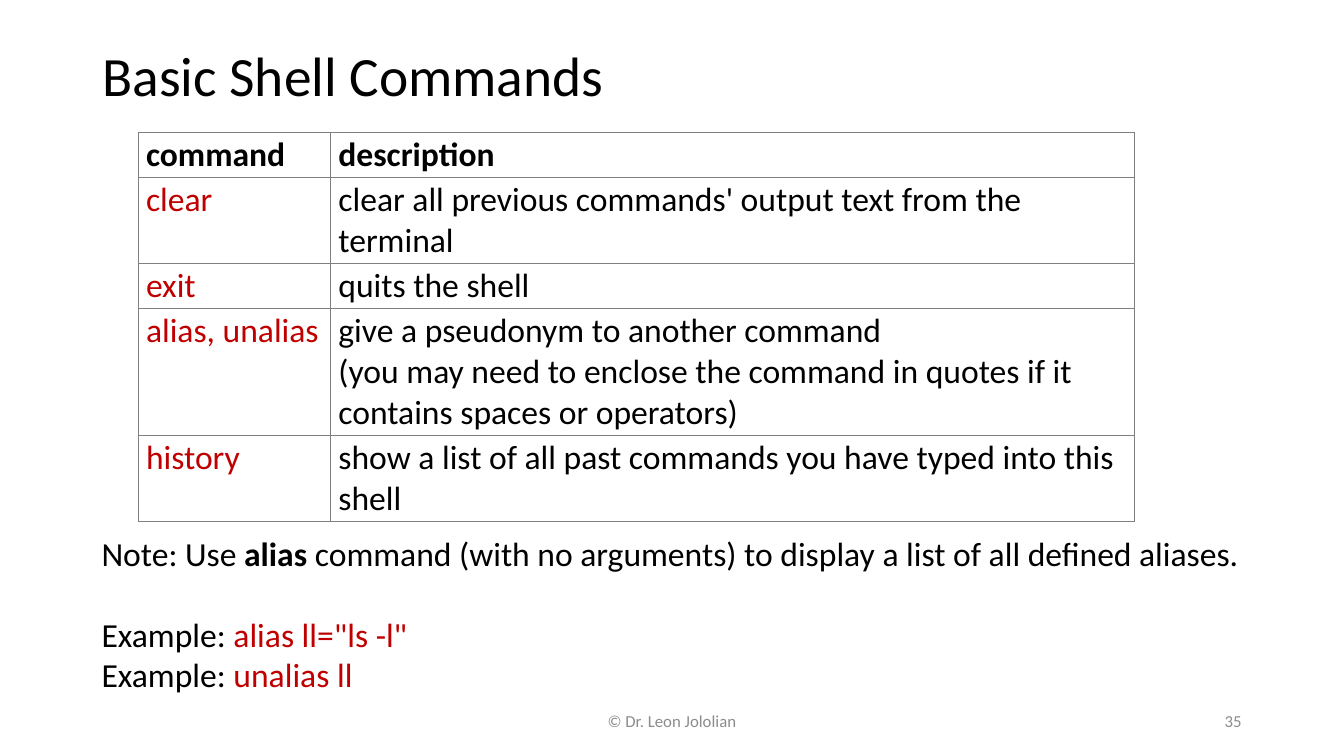
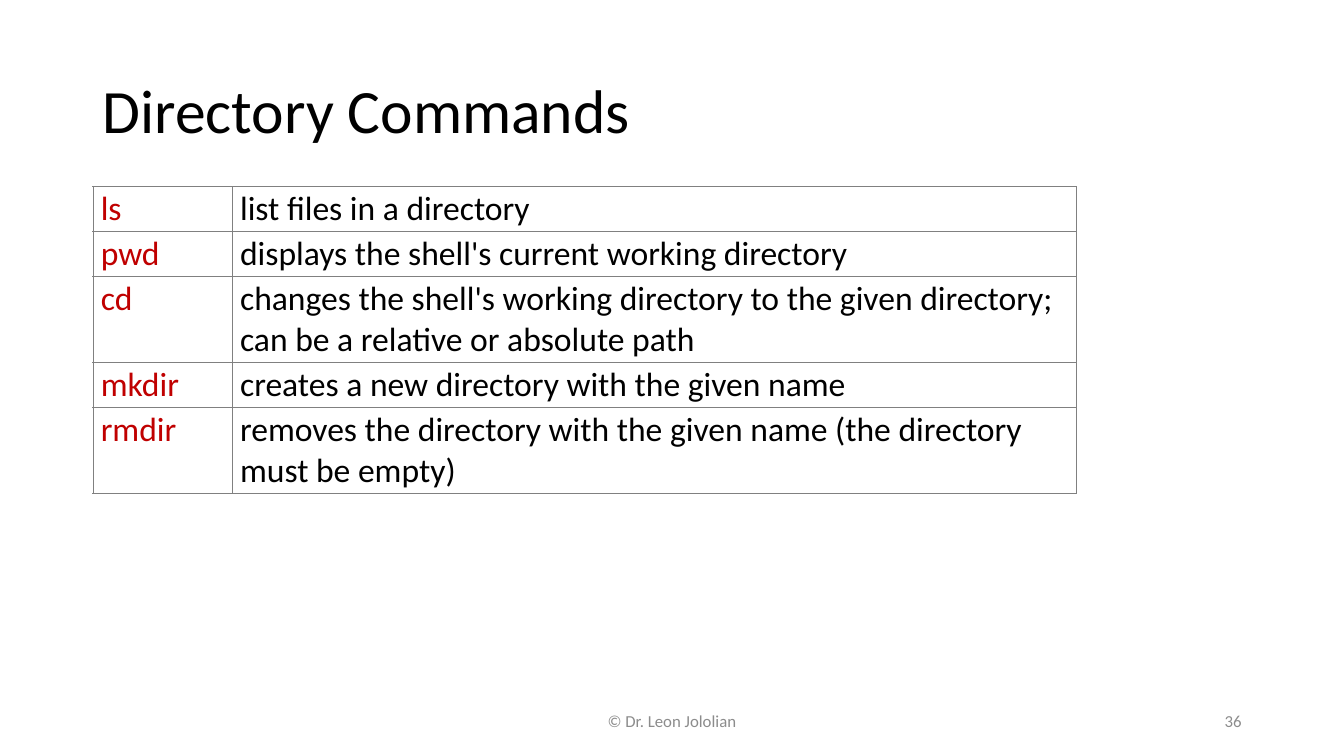
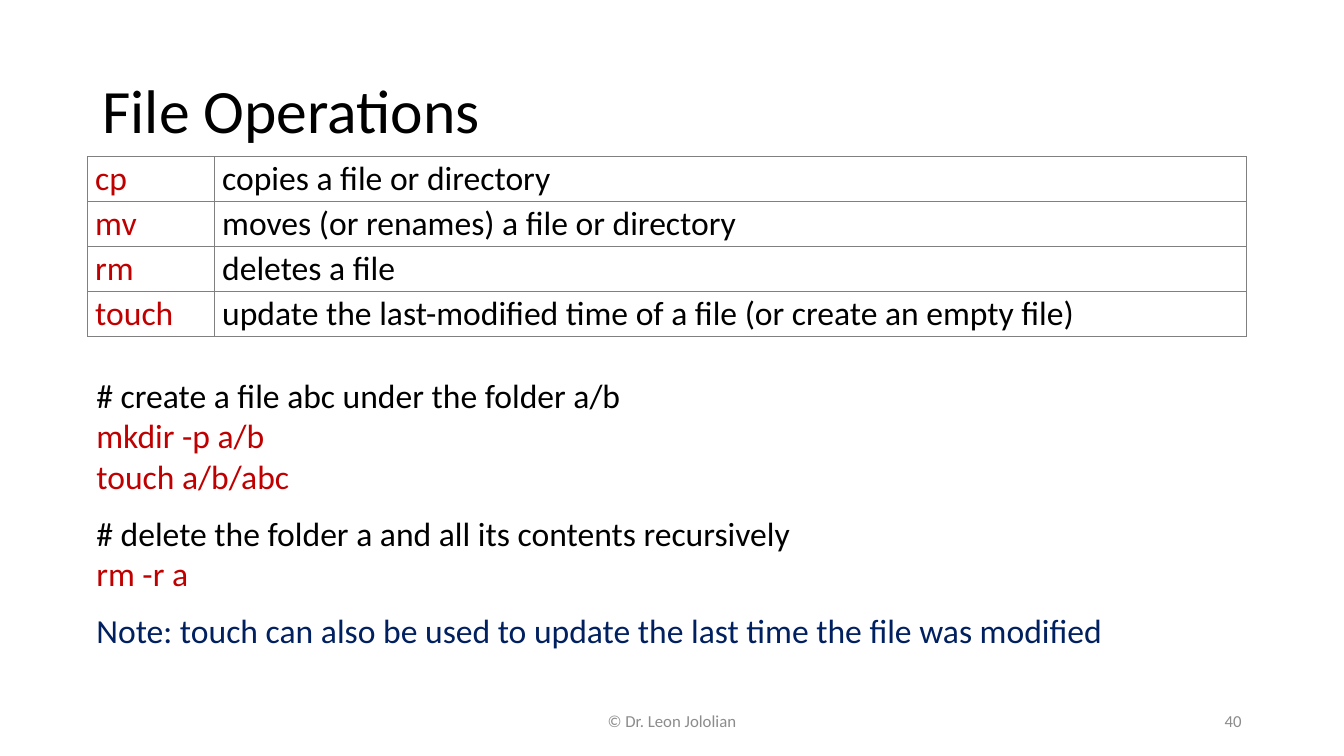
"""Build three slides on shell, directory and file commands."""
from lxml import etree
from pptx import Presentation
from pptx.dml.color import RGBColor
from pptx.enum import text
from pptx.oxml import ns
from pptx.util import Cm, Pt

BLACK = RGBColor(0x00, 0x00, 0x00)
RED = RGBColor(0xC0, 0x00, 0x00)
NAVY = RGBColor(0x00, 0x20, 0x60)
GREY = RGBColor(0x8C, 0x8C, 0x8C)
BORDER = RGBColor(0x80, 0x80, 0x80)
FONT = "Calibri"
BODY_PT, FOOTER_PT = 24, 12
LINE_CM, CELL_PAD_X, CELL_PAD_Y = 1.03, 0.2, 0.05
FOOTER = "© Dr. Leon Jololian"

SLIDES = [
    {
        "title": "Basic Shell Commands", "title_pt": 39.6, "title_height": 1.93, "number": 35,
        "table_at": (3.48, 3.33), "columns": (4.85, 20.27), "header": ("command", "description"),
        "commands": [
            ("clear", "clear all previous commands' output text from the terminal", 2),
            ("exit", "quits the shell", 1),
            ("alias, unalias", "give a pseudonym to another command\n"
             "(you may need to enclose the command in quotes if it contains spaces or operators)", 3),
            ("history", "show a list of all past commands you have typed into this shell", 2),
        ],
        "notes_box": (2.31, 13.31, 30, 4.37),
        "notes": [
            (0, [("Note: Use ", BLACK, False), ("alias", BLACK, True),
                 (" command (with no arguments) to display a list of all defined aliases.", BLACK, False)]),
            (29, [("Example: ", BLACK, False), ('alias ll="ls -l"', RED, False)]),
            (0, [("Example: ", BLACK, False), ("unalias ll", RED, False)]),
        ],
    },
    {
        "title": "Directory Commands", "title_pt": 44, "title_height": 3.68, "number": 36,
        "table_at": (2.34, 4.7), "columns": (3.51, 21.27),
        "commands": [
            ("ls", "list files in a directory", 1),
            ("pwd", "displays the shell's current working directory", 1),
            ("cd", "changes the shell's working directory to the given directory; "
             "can be a relative or absolute path", 2),
            ("mkdir", "creates a new directory with the given name", 1),
            ("rmdir", "removes the directory with the given name (the directory must be empty)", 2),
        ],
    },
    {
        "title": "File Operations", "title_pt": 44, "title_height": 3.68, "number": 40,
        "table_at": (2.2, 3.94), "columns": (3.2, 26.01),
        "commands": [
            ("cp", "copies a file or directory", 1),
            ("mv", "moves (or renames) a file or directory", 1),
            ("rm", "deletes a file", 1),
            ("touch", "update the last-modified time of a file (or create an empty file)", 1),
        ],
        "notes_box": (2.18, 9.32, 27, 7.26),
        "notes": [
            (0, [("# create a file abc under the folder a/b", BLACK, False)]),
            (0, [("mkdir -p a/b", RED, False)]),
            (0, [("touch a/b/abc", RED, False)]),
            (12, [("# delete the folder a and all its contents recursively", BLACK, False)]),
            (0, [("rm -r a", RED, False)]),
            (12, [("Note: touch can also be used to update the last time the file was modified",
                   NAVY, False)]),
        ],
    },
]


def add_run(p, words, color, size=BODY_PT, bold=False):
    for i, line in enumerate(words.split("\n")):
        if i:
            p.add_line_break()
        r = p.add_run()
        r.text = line
        r.font.name, r.font.size, r.font.bold = FONT, Pt(size), bold
        r.font.color.rgb = color


def add_title(s, spec):
    sp = s.shapes.title
    sp.left, sp.top, sp.width, sp.height = Cm(2.33), Cm(1.01), Cm(29.21), Cm(spec["title_height"])
    tf = sp.text_frame
    tf.auto_size = text.MSO_AUTO_SIZE.NONE
    tf.vertical_anchor = text.MSO_ANCHOR.MIDDLE
    p = tf.paragraphs[0]
    p.alignment, p.line_spacing = text.PP_ALIGN.LEFT, 0.9
    add_run(p, spec["title"], BLACK, spec["title_pt"])


def add_textbox(s, box):
    tf = s.shapes.add_textbox(*map(Cm, box)).text_frame
    tf.word_wrap = True
    return tf


def add_footer(s, number):
    for left, width, words, align in ((11.22, 11.43, FOOTER, text.PP_ALIGN.CENTER),
                                      (23.92, 7.62, str(number), text.PP_ALIGN.RIGHT)):
        tf = add_textbox(s, (left, 17.66, width, 1.01))
        tf.vertical_anchor = text.MSO_ANCHOR.MIDDLE
        tf.paragraphs[0].alignment = align
        add_run(tf.paragraphs[0], words, GREY, FOOTER_PT)


def add_borders(cell):
    tc_pr = cell._tc.get_or_add_tcPr()
    for i, side in enumerate(("lnL", "lnR", "lnT", "lnB")):
        ln = etree.Element(ns.qn(f"a:{side}"), w=str(Pt(0.6)))
        fill = etree.SubElement(ln, ns.qn("a:solidFill"))
        etree.SubElement(fill, ns.qn("a:srgbClr"), val=str(BORDER))
        tc_pr.insert(i, ln)


def add_command_table(s, spec):
    rows = [(name, words, lines, RED, False) for name, words, lines in spec["commands"]]
    if "header" in spec:
        rows.insert(0, (*spec["header"], 1, BLACK, True))
    heights = [LINE_CM * row[2] + 2 * CELL_PAD_Y for row in rows]
    size = sum(spec["columns"]), sum(heights)
    table = s.shapes.add_table(len(rows), 2, *map(Cm, spec["table_at"] + size)).table
    table.first_row = table.horz_banding = False
    for column, width in zip(table.columns, spec["columns"]):
        column.width = Cm(width)
    for i, (name, words, _, color, bold) in enumerate(rows):
        table.rows[i].height = Cm(heights[i])
        for cell, content, ink in zip(table.rows[i].cells, (name, words), (color, BLACK)):
            cell.margin_left = cell.margin_right = Cm(CELL_PAD_X)
            cell.margin_top = cell.margin_bottom = Cm(CELL_PAD_Y)
            cell.fill.background()
            add_borders(cell)
            add_run(cell.text_frame.paragraphs[0], content, ink, bold=bold)


def add_notes(s, box, notes):
    tf = add_textbox(s, box)
    for i, (before, runs) in enumerate(notes):
        p = tf.add_paragraph() if i else tf.paragraphs[0]
        if before:
            p.space_before = Pt(before)
        for words, color, bold in runs:
            add_run(p, words, color, bold=bold)


def main():
    prs = Presentation()
    prs.slide_width, prs.slide_height = Cm(33.87), Cm(19.05)
    for spec in SLIDES:
        s = prs.slides.add_slide(prs.slide_layouts[5])
        add_title(s, spec)
        add_command_table(s, spec)
        add_footer(s, spec["number"])
        if "notes" in spec:
            add_notes(s, spec["notes_box"], spec["notes"])
    prs.save("out.pptx")


if __name__ == "__main__":
    main()
